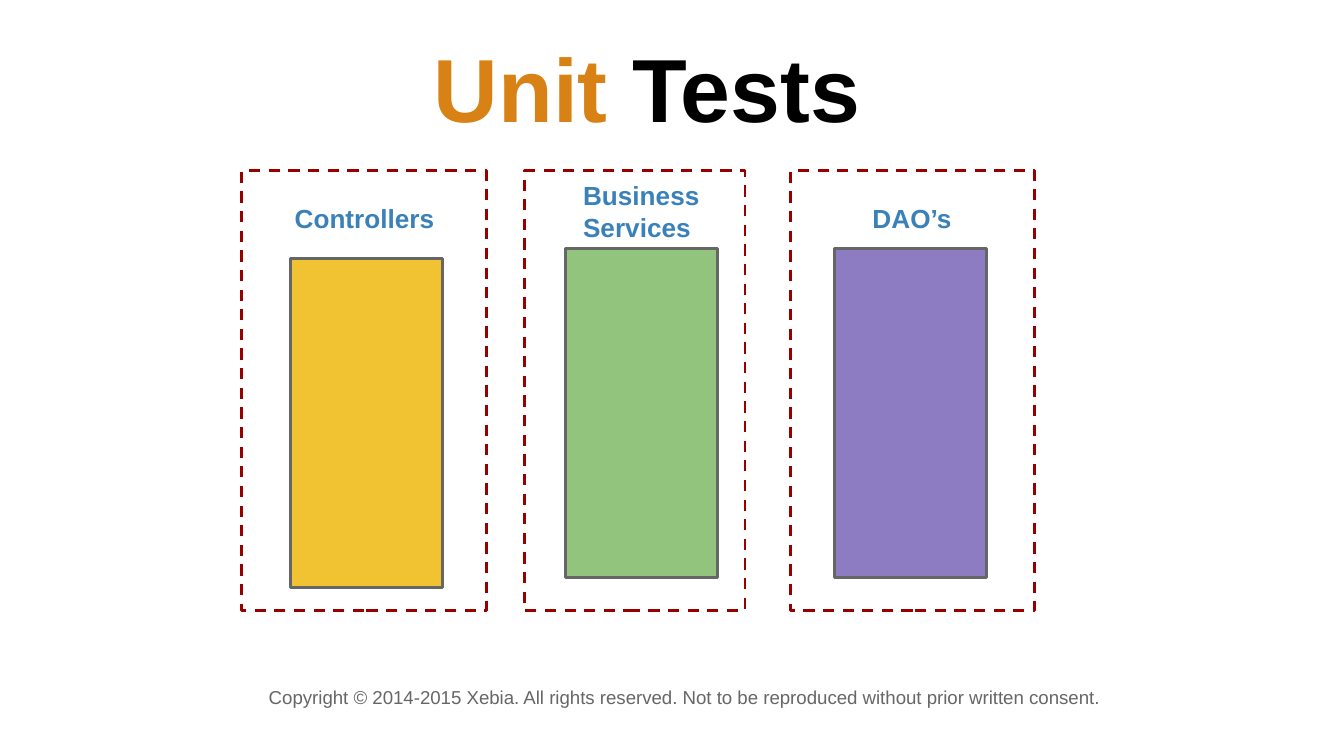
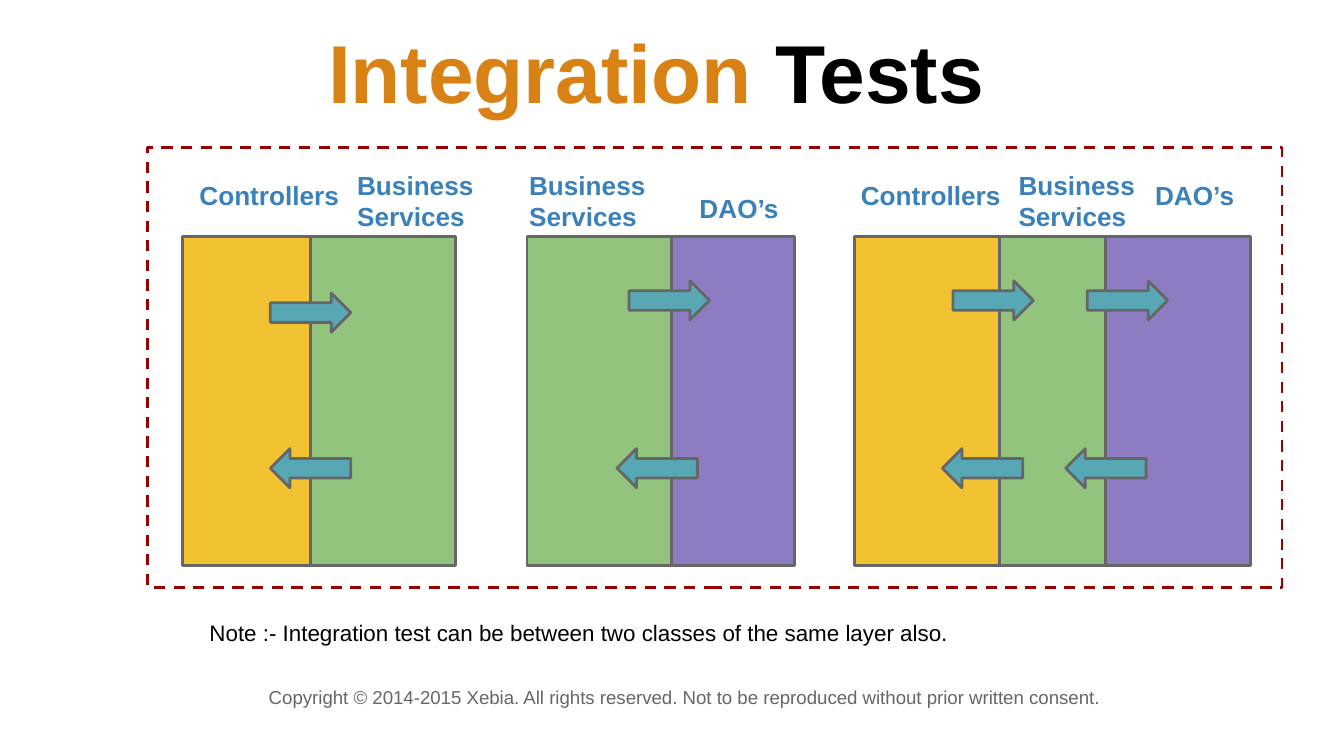
from pptx import Presentation
from pptx.dml.color import RGBColor
from pptx.enum.dml import MSO_LINE
from pptx.enum.shapes import MSO_SHAPE
from pptx.enum.text import MSO_ANCHOR
from pptx.util import Cm, Pt

FONT = "Arial"
ORANGE, BLACK, BLUE, GREY = "D88115", "000000", "3A81BA", "666666"
WHITE, DARK_RED, TEAL = "FFFFFF", "980000", "57A7B5"
LAYER_COLOURS = {
    "Controllers": "F1C232",
    "Business Services": "93C47D",
    "DAO’s": "8E7CC3",
}
COPYRIGHT = (
    "Copyright © 2014-2015 Xebia. All rights reserved. "
    "Not to be reproduced without prior written consent."
)
FRAME_HEIGHT, BAR_HEIGHT, LINE_HEIGHT = 8.31, 6.22, 0.94
ARROW_WIDTH, ARROW_HEIGHT = 1.52, 0.74


def colour(hex_code):
    """Turn a hex string into a colour."""
    return RGBColor.from_string(hex_code)


def add_block(slide, preset, box, fill, line=GREY):
    """Add a filled, outlined shape; box is left, top, width, height in cm."""
    block = slide.shapes.add_shape(preset, *map(Cm, box))
    block.shadow.inherit = False
    block.fill.solid()
    block.fill.fore_color.rgb = colour(fill)
    block.line.color.rgb = colour(line)
    block.line.width = Pt(1.5)
    return block


def add_frame(slide, left, top, width):
    """Add the dashed boundary of a test scope."""
    box = (left, top, width, FRAME_HEIGHT)
    frame = add_block(slide, MSO_SHAPE.RECTANGLE, box, WHITE, DARK_RED)
    frame.line.dash_style = MSO_LINE.DASH


def add_bar(slide, layer, left, top, width):
    """Add the coloured bar of an application layer."""
    box = (left, top, width, BAR_HEIGHT)
    add_block(slide, MSO_SHAPE.RECTANGLE, box, LAYER_COLOURS[layer])


def add_arrow(slide, left, top, rotation=0):
    """Add a call arrow between two layers."""
    box = (left, top, ARROW_WIDTH, ARROW_HEIGHT)
    add_block(slide, MSO_SHAPE.RIGHT_ARROW, box, TEAL).rotation = rotation


def add_text(slide, box, runs, size, bold=False, indent=0, anchor=MSO_ANCHOR.TOP):
    """Add one paragraph made of (text, colour) runs."""
    frame = slide.shapes.add_textbox(*map(Cm, box)).text_frame
    frame.word_wrap = True
    frame.vertical_anchor = anchor
    frame.margin_left = frame.margin_right = Cm(0.25)
    frame.margin_top = frame.margin_bottom = Cm(0.25)
    paragraph = frame.paragraphs[0]
    if indent:
        paragraph._p.get_or_add_pPr().set("marL", str(Cm(indent)))
    paragraph.font.name = FONT
    paragraph.font.size = Pt(size)
    paragraph.font.bold = bold
    for text, hex_code in runs:
        run = paragraph.add_run()
        run.text = text
        run.font.color.rgb = colour(hex_code)


def add_title(slide, kind, box, size):
    """Add the two-colour title."""
    runs = [(kind, ORANGE), (" Tests", BLACK)]
    add_text(slide, box, runs, size, True, 5.54, MSO_ANCHOR.BOTTOM)


def add_label(slide, layer, left, top, width, indent=0):
    """Add the name of a layer above its bar."""
    box = (left, top, width, LINE_HEIGHT)
    add_text(slide, box, [(layer, BLUE)], 14, True, indent)


def add_slide(deck):
    """Add a blank slide with the copyright footer."""
    slide = deck.slides.add_slide(deck.slide_layouts[6])
    add_text(slide, (4.83, 12.75, 18.87, LINE_HEIGHT), [(COPYRIGHT, GREY)], 10)
    return slide


def build_unit_tests(deck):
    """Show each layer tested on its own."""
    slide = add_slide(deck)
    for left, width in ((14.94, 4.62), (9.91, 4.17), (4.57, 4.62)):
        add_frame(slide, left, 3.23, width)
    layers = (
        ("Controllers", 5.49, 4.88, 5.05, 3.58, 0.27),
        ("Business Services", 10.69, 4.7, 10.77, 3.15, 0),
        ("DAO’s", 15.77, 4.7, 15.42, 3.58, 0.82),
    )
    for layer, bar_left, bar_top, label_left, label_top, indent in layers:
        add_bar(slide, layer, bar_left, bar_top, 2.87)
        add_label(slide, layer, label_left, label_top, 3.73, indent)
    add_title(slide, "Unit", (2.41, 0.89, 20.42, 2.01), 48)


def build_integration_tests(deck):
    """Show neighbouring layers tested together."""
    slide = add_slide(deck)
    add_frame(slide, 2.79, 2.79, 21.44)
    layers = (
        ("Controllers", 3.45, 3.25, 3.15, 0.27),
        ("Business Services", 5.87, 6.5, 2.95, 0),
        ("DAO’s", 12.27, 12.42, 3.38, 0.55),
        ("Business Services", 9.96, 9.75, 2.95, 0),
        ("Business Services", 18.16, 19, 2.95, 0),
        ("Controllers", 16.15, 15.75, 3.15, 0.27),
        ("DAO’s", 20.9, 20.9, 3.15, 0.68),
    )
    for layer, bar_left, *_ in layers:
        add_bar(slide, layer, bar_left, 4.47, 2.74)
    for layer, _, label_left, label_top, indent in layers:
        add_label(slide, layer, label_left, label_top, 3.58, indent)
    add_title(slide, "Integration", (0.41, 0.51, 19.63, 2.01), 44)
    note = "Note :- Integration test can be between two classes of the same layer also."
    add_text(slide, (3.71, 11.46, 17.17, LINE_HEIGHT), [(note, BLACK)], 12)
    for left, top in ((5.11, 5.54), (11.89, 5.31), (18.01, 5.31), (20.55, 5.31)):
        add_arrow(slide, left, top)
    for left in (20.14, 17.81, 11.66, 5.11):
        add_arrow(slide, left, 8.48, 180)


def main():
    """Build and save the deck."""
    deck = Presentation()
    deck.slide_width, deck.slide_height = Cm(25.4), Cm(14.29)
    build_unit_tests(deck)
    build_integration_tests(deck)
    deck.save("out.pptx")


if __name__ == "__main__":
    main()
